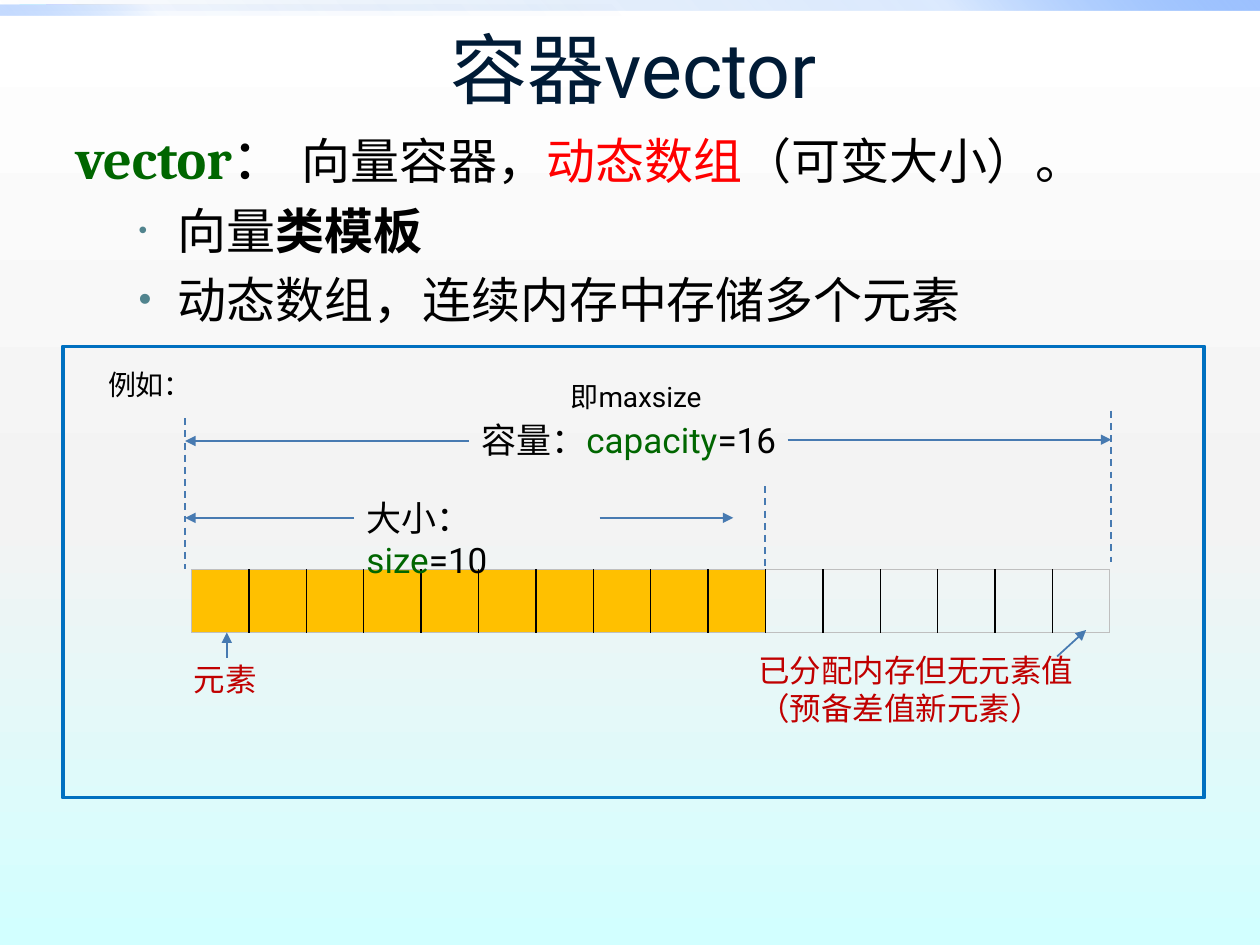
"""Build a slide on the vector container: its title, its points and a capacity diagram."""
import dataclasses

import pptx
import pptx.dml.color
import pptx.enum.dml
import pptx.enum.shapes
import pptx.enum.text
import pptx.oxml
import pptx.oxml.ns
import pptx.util
from pptx.util import Inches

NS = pptx.oxml.ns.nsdecls("a")
BLACK, GREEN, RED, BLUE = "000000", "006600", "C00000", "477AB1"
CELLS, USED = 16, 10
ALIGN = pptx.enum.text.PP_ALIGN


@dataclasses.dataclass
class Label:
    box: tuple
    size: int
    lines: list
    color: str = BLACK


@dataclasses.dataclass
class Line:
    start: tuple
    end: tuple
    dashed: bool = False


@dataclasses.dataclass
class Bar:
    box: tuple
    angle: int
    alphas: tuple


LABELS = [
    Label((0.76, 2.87, 6.3, 0.57), 16, [[("例如：", BLACK)]]),
    Label((1.44, 5.19, 0.74, 0.4), 18, [[("元素", RED)]]),
    Label((3.72, 3.27, 3.15, 0.44), 20, [[("容量：", BLACK), ("capacity", GREEN), ("=16", BLACK)]]),
    Label((2.81, 3.89, 1.95, 0.44), 20, [[("大小：", BLACK), ("size", GREEN), ("=10", BLACK)]]),
    Label((5.92, 5.12, 3.02, 0.71), 18, [[("已分配内存但无元素值", RED)], [("（预备差值新元素）", RED)]]),
    Label((4.43, 2.96, 2.08, 0.37), 16, [[("即maxsize", BLACK)]]),
]
LINES = [
    Line((1.47, 3.32), (1.47, 4.52), dashed=True),
    Line((8.82, 3.26), (8.82, 4.46), dashed=True),
    Line((6.07, 3.86), (6.07, 4.52), dashed=True),
    Line((3.72, 3.5), (1.47, 3.5)),
    Line((6.25, 3.49), (8.82, 3.49)),
    Line((2.81, 4.11), (1.47, 4.11)),
    Line((4.76, 4.11), (5.82, 4.11)),
    Line((8.39, 5.21), (8.62, 5)),
    Line((1.8, 5.22), (1.8, 5.02)),
]
BARS = [Bar((0, 0, 10, 0.08), 315, (0, 20, 100)), Bar((0, 0.04, 5, 0.08), 135, (0, 5, 60))]


def rgb(color: str) -> pptx.dml.color.RGBColor:
    return pptx.dml.color.RGBColor.from_string(color)


def inches(values: tuple) -> list:
    return [Inches(v) for v in values]


def set_gradient(parent, stops: list, angle: int) -> None:
    gs = "".join(
        f'<a:gs pos="{pos * 1000}"><a:srgbClr val="{color}"><a:alpha val="{alpha * 1000}"/></a:srgbClr></a:gs>'
        for pos, color, alpha in stops)
    xml = f'<a:gradFill {NS}><a:gsLst>{gs}</a:gsLst><a:lin ang="{angle * 60000}" scaled="0"/></a:gradFill>'
    old = parent.find(pptx.oxml.ns.qn("a:solidFill"))
    parent.replace(old, pptx.oxml.parse_xml(xml))


def add_run(p, text: str, size: int = 28, font: str = "Roboto", color: str = BLACK,
            bold: bool = False, east: str = "Roboto") -> None:
    r = p.add_run()
    r.text = text
    f = r.font
    f.size, f.name, f.bold = pptx.util.Pt(size), font, bold
    f.color.rgb = rgb(color)
    latin = r._r.rPr.find(pptx.oxml.ns.qn("a:latin"))
    latin.addnext(pptx.oxml.parse_xml(f'<a:ea {NS} typeface="{east}"/>'))


def set_bullet(p, left: float, hanging: float, size: int = 0) -> None:
    pPr = p._p.get_or_add_pPr()
    pPr.set("marL", str(Inches(left)))
    pPr.set("indent", str(-Inches(hanging)))
    parts = ["<a:buNone {}/>"]
    if size:
        parts = ['<a:buClr {}><a:srgbClr val="51848E"/></a:buClr>', f'<a:buSzPct {{}} val="{size * 1000}"/>',
                 '<a:buFont {} typeface="Arial"/>', '<a:buChar {} char="•"/>']
    for part in parts:
        pPr.append(pptx.oxml.parse_xml(part.format(NS)))


def add_bar(s, bar: Bar) -> None:
    sp = s.shapes.add_shape(pptx.enum.shapes.MSO_SHAPE.RECTANGLE, *inches(bar.box))
    sp.shadow.inherit = False
    sp.line.fill.background()
    sp.fill.solid()
    set_gradient(sp._element.spPr, list(zip((0, 75, 100), ("0058B7", "4F95FF", "9EC2FF"), bar.alphas)), bar.angle)


def add_label(s, label: Label) -> None:
    tf = s.shapes.add_textbox(*inches(label.box)).text_frame
    tf.word_wrap = True
    tf.auto_size = pptx.enum.text.MSO_AUTO_SIZE.SHAPE_TO_FIT_TEXT
    for i, line in enumerate(label.lines):
        p = tf.add_paragraph() if i else tf.paragraphs[0]
        for text, color in line:
            add_run(p, text, size=label.size, color=color)


def add_line(s, line: Line) -> None:
    c = s.shapes.add_connector(pptx.enum.shapes.MSO_CONNECTOR.STRAIGHT, *inches(line.start + line.end))
    c.line.color.rgb = rgb(BLUE)
    c.line.width = pptx.util.Pt(1)
    if line.dashed:
        c.line.dash_style = pptx.enum.dml.MSO_LINE.DASH
    else:
        c.line._get_or_add_ln().append(pptx.oxml.parse_xml(f'<a:tailEnd {NS} type="triangle"/>'))
    c._element.spPr.append(pptx.oxml.parse_xml(f"<a:effectLst {NS}/>"))


def add_cells(s) -> None:
    table = s.shapes.add_table(1, CELLS, *inches((1.52, 4.52, 7.29, 0.5))).table
    table.first_row = table.horz_banding = False
    for i, cell in enumerate(table.iter_cells()):
        table.columns[i].width = Inches(7.29 / CELLS)
        tcPr = cell._tc.get_or_add_tcPr()
        for side in "LRTB":
            outer = side in "TB" or (side == "L" and i == 0) or (side == "R" and i == CELLS - 1)
            width, color = (6350, "BFBFBF") if outer else (12700, BLACK)
            tcPr.append(pptx.oxml.parse_xml(
                f'<a:ln{side} {NS} w="{width}"><a:solidFill><a:srgbClr val="{color}"/></a:solidFill></a:ln{side}>'))
        if i < USED:
            cell.fill.solid()
            cell.fill.fore_color.rgb = rgb("FFC000")
        else:
            cell.fill.background()


def place(sp, box: tuple, anchor) -> None:
    sp.left, sp.top, sp.width, sp.height = inches(box)
    sp.text_frame.vertical_anchor = anchor
    sp.text_frame.auto_size = pptx.enum.text.MSO_AUTO_SIZE.NONE


def fill_text(s) -> None:
    title, body = s.shapes.title, s.placeholders[1]
    place(title, (0.53, -0.09, 9, 1.25), pptx.enum.text.MSO_ANCHOR.MIDDLE)
    p = title.text_frame.paragraphs[0]
    p.alignment = ALIGN.CENTER
    add_run(p, "容器vector", size=44, color="001B36")

    place(body, (0.5, 0.93, 9, 1.99), pptx.enum.text.MSO_ANCHOR.TOP)
    tf = body.text_frame
    p = tf.paragraphs[0]
    set_bullet(p, 0.38, 0.38)
    p.alignment, p.space_before = ALIGN.JUSTIFY, pptx.util.Pt(0)
    add_run(p, "vector", size=32, font="Cambria", color=GREEN, bold=True)
    add_run(p, "： ", size=32, font="Cambria")
    for text, color in (("向量容器，", BLACK), ("动态数组", "FF0000"), ("（可变大小）。", BLACK)):
        add_run(p, text, font="Cambria", color=color)
    points = [(50, [("向量", False), ("类模板", True)]), (75, [("动态数组，连续内存中存储多个元素", False)])]
    for size, runs in points:
        p = tf.add_paragraph()
        p.level = 1
        set_bullet(p, 0.81, 0.31, size)
        for text, bold in runs:
            add_run(p, text, font="Noto Sans CJK SC", bold=bold)


def main() -> None:
    prs = pptx.Presentation()
    prs.slide_width, prs.slide_height = Inches(10), Inches(7.5)
    s = prs.slides.add_slide(prs.slide_layouts[1])
    s.background.fill.solid()
    set_gradient(s._element.cSld.bg.bgPr, [(0, "FFFFFF", 100), (55, "F3F3F3", 100), (100, "D2FFFF", 100)], 90)
    for bar in BARS:
        add_bar(s, bar)
    fill_text(s)
    frame = s.shapes.add_shape(pptx.enum.shapes.MSO_SHAPE.RECTANGLE, *inches((0.5, 2.75, 9.06, 3.58)))
    frame.shadow.inherit = False
    frame.fill.background()
    frame.line.color.rgb = rgb("0070C0")
    frame.line.width = pptx.util.Pt(2.25)
    add_cells(s)
    for line in LINES:
        add_line(s, line)
    for label in LABELS:
        add_label(s, label)
    prs.save("out.pptx")


if __name__ == "__main__":
    main()
